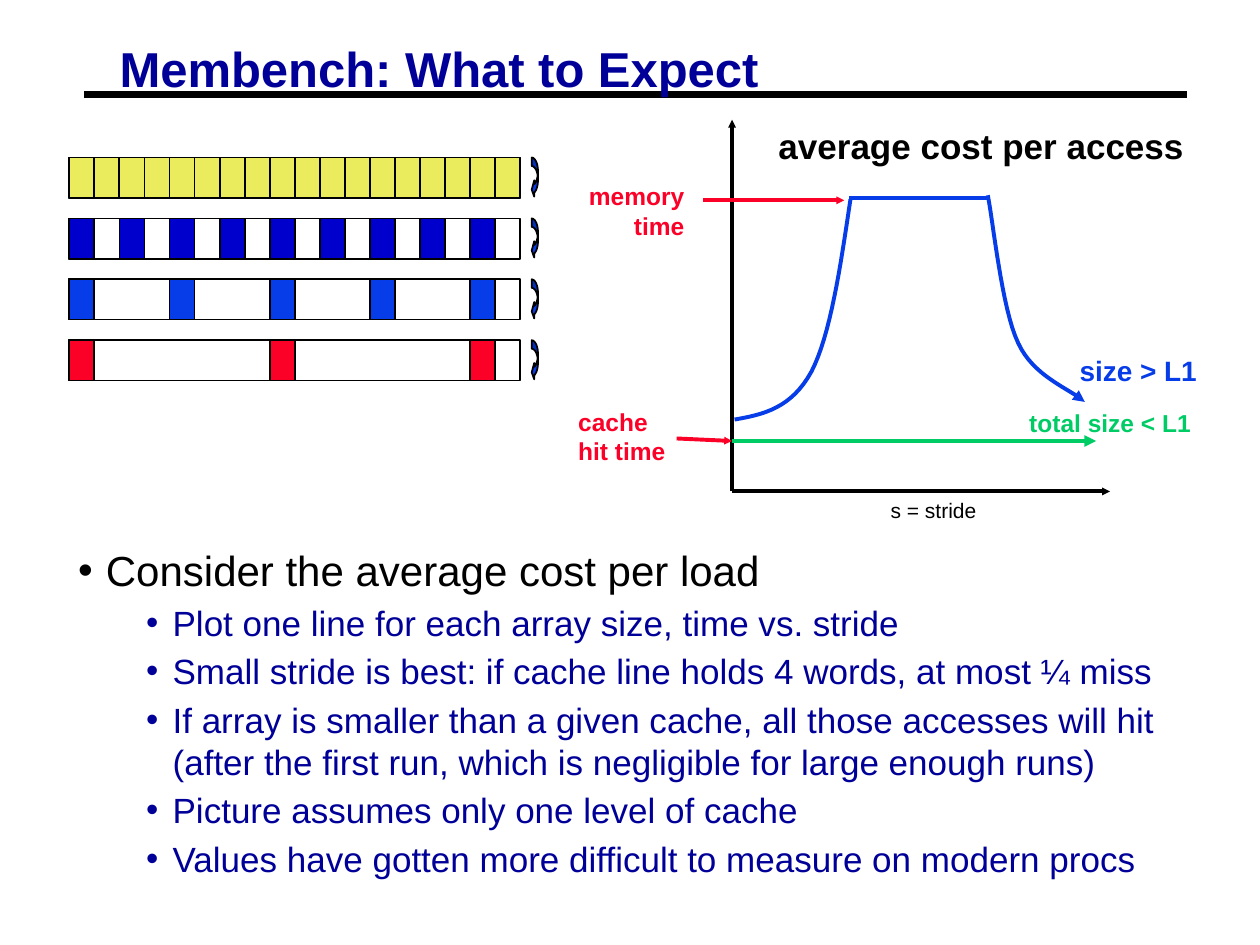
from dataclasses import dataclass

from lxml import etree
from pptx import Presentation
from pptx.dml.color import RGBColor
from pptx.enum.shapes import MSO_CONNECTOR, MSO_SHAPE
from pptx.enum.text import MSO_AUTO_SIZE, PP_ALIGN
from pptx.oxml.ns import qn
from pptx.util import Inches, Pt


@dataclass(frozen=True)
class Theme:
    font: str = "Arial"
    black: str = "000000"
    navy: str = "000099"
    yellow: str = "EAEC5E"
    dark_blue: str = "0000CC"
    blue: str = "063DE8"
    red: str = "FC0128"
    green: str = "00CC66"
    title: int = 28
    body: int = 24
    large: int = 20
    medium: int = 16
    label: int = 14
    small: int = 12
    rule: float = 3.75
    stroke: float = 2.25
    outline: float = 1


THEME = Theme()

# Content
TITLE = "Membench: What to Expect"
STRIDES = [(1, THEME.yellow), (2, THEME.dark_blue), (4, THEME.blue), (8, THEME.red)]
HEADLINE = "Consider the average cost per load"
POINTS = [
    "Plot one line for each array size, time vs. stride",
    "Small stride is best: if cache line holds 4 words, at most ¼ miss",
    "If array is smaller than a given cache, all those accesses will hit "
    "(after the first run, which is negligible for large enough runs)",
    "Picture assumes only one level of cache",
    "Values have gotten more difficult to measure on modern procs",
]
# Lines: start, end, colour, width, arrowhead size
LINES = [
    ((0.67, 0.75), (9.42, 0.75), THEME.black, THEME.rule, None),
    ((5.81, 3.9), (5.81, 0.95), THEME.black, THEME.stroke, "sm"),
    ((5.81, 3.9), (8.81, 3.9), THEME.black, THEME.stroke, "sm"),
    ((5.81, 3.5), (8.7, 3.5), THEME.green, THEME.stroke, "med"),
    ((5.37, 3.48), (5.81, 3.5), THEME.red, THEME.stroke, "sm"),
    ((5.58, 1.59), (6.7, 1.59), THEME.red, THEME.stroke, "sm"),
    ((6.74, 1.57), (7.85, 1.57), THEME.blue, THEME.stroke, None),
]
# Curves: start, Bézier segments, arrowhead size
CURVES = [
    ((5.83, 3.33), [((6.06, 3.29), (6.28, 3.24), (6.44, 2.95)),
                    ((6.59, 2.66), (6.67, 2.12), (6.75, 1.58))], None),
    ((7.84, 1.55), [((7.88, 1.74), (7.95, 2.45), (8.08, 2.72)),
                    ((8.2, 2.99), (8.5, 3.09), (8.61, 3.19))], "med"),
]
# Labels: lines, (left, top, width, height), size, colour, bold, wrap, alignment
LABELS = [
    (["s = stride"], (6.97, 3.9, 0.88, 0.3), THEME.small, THEME.black, False, False, PP_ALIGN.LEFT),
    (["average cost per access"], (6.08, 0.94, 3.42, 0.44), THEME.large, THEME.black, True, False, PP_ALIGN.LEFT),
    (["total size < L1"], (8.07, 3.19, 1.52, 0.34), THEME.label, THEME.green, True, False, PP_ALIGN.LEFT),
    (["cache hit time"], (4.49, 3.18, 0.99, 0.57), THEME.label, THEME.red, True, True, PP_ALIGN.LEFT),
    (["memory", "time"], (4.55, 1.39, 0.98, 0.57), THEME.label, THEME.red, True, True, PP_ALIGN.RIGHT),
    (["size > L1"], (8.47, 2.76, 1.13, 0.37), THEME.medium, THEME.blue, True, False, PP_ALIGN.LEFT),
]

# Memory strips
STRIP_LEFT, STRIP_TOP, STRIP_WIDTH, STRIP_HEIGHT = 0.55, 1.25, 3.58, 0.32
CELLS, STRIP_BOTTOM_ROW = 18, 2.7
LOOP_LEFT, LOOP_WIDTH = 4.22, 0.05
LOOP_SHAPE = (1.35, 2.6, 0.4)
CURVE_STEPS = 16


def rgb(colour):
    return RGBColor.from_string(colour)


def style_line(line, colour, width, head=None):
    line.color.rgb = rgb(colour)
    line.width = Pt(width)
    if head:
        etree.SubElement(line._get_or_add_ln(), qn("a:tailEnd"), type="triangle", w=head, len=head)


def add_shape(page, kind, area, fill=None):
    shape = page.shapes.add_shape(kind, *map(Inches, area))
    shape.shadow.inherit = False
    if fill:
        shape.fill.solid()
        shape.fill.fore_color.rgb = rgb(fill)
    else:
        shape.fill.background()
    style_line(shape.line, THEME.black, THEME.outline)
    return shape


def add_line(page, start, end, colour, width, head):
    line = page.shapes.add_connector(MSO_CONNECTOR.STRAIGHT, *map(Inches, start + end))
    style_line(line.line, colour, width, head)
    etree.SubElement(line._element.spPr, qn("a:effectLst"))


def bezier(start, first, second, end):
    for step in range(1, CURVE_STEPS + 1):
        t = step / CURVE_STEPS
        u = 1 - t
        yield tuple(Inches(u**3 * a + 3 * u * u * t * b + 3 * u * t * t * c + t**3 * d)
                    for a, b, c, d in zip(start, first, second, end))


def add_curve(page, start, segments, head):
    builder = page.shapes.build_freeform(*map(Inches, start))
    for segment in segments:
        builder.add_line_segments(list(bezier(start, *segment)), close=False)
        start = segment[-1]
    curve = builder.convert_to_shape()
    curve.shadow.inherit = False
    curve.fill.background()
    style_line(curve.line, THEME.blue, THEME.stroke, head)


def add_text(page, lines, area, size, colour, bold=False, wrap=True,
             align=PP_ALIGN.LEFT, insets=(0.1, 0.05)):
    frame = page.shapes.add_textbox(*map(Inches, area)).text_frame
    frame.word_wrap = wrap
    if not wrap:
        frame.auto_size = MSO_AUTO_SIZE.SHAPE_TO_FIT_TEXT
    frame.margin_left = frame.margin_right = Inches(insets[0])
    frame.margin_top = frame.margin_bottom = Inches(insets[1])
    frame.text = "\n".join(lines)
    for para in frame.paragraphs:
        para.alignment = align
        para.font.name = THEME.font
        para.font.size = Pt(size)
        para.font.bold = bold
        para.font.color.rgb = rgb(colour)
    return frame


def add_bullet(para, margin, hanging, space):
    para.space_before = Pt(space)
    properties = para._p.get_or_add_pPr()
    properties.set("marL", str(Inches(margin)))
    properties.set("indent", str(-Inches(hanging)))
    defaults = properties.find(qn("a:defRPr"))
    defaults.addprevious(etree.Element(qn("a:buFont"), typeface=THEME.font))
    defaults.addprevious(etree.Element(qn("a:buChar"), char="•"))


def main():
    deck = Presentation()
    deck.slide_width, deck.slide_height = Inches(10), Inches(7.5)
    page = deck.slides.add_slide(deck.slide_layouts[6])

    # Rule, axes, arrows and plateau
    for line in LINES:
        add_line(page, *line)

    # Title
    title = add_text(page, [TITLE], (0.88, 0.34, 5.4, 0.46), THEME.title, THEME.navy,
                     bold=True, insets=(0.07, 0.03))
    title.paragraphs[0].line_spacing = 0.87

    # One strip per stride, with the touched cells filled and a loop arrow
    cell = STRIP_WIDTH / CELLS
    pitch = (STRIP_BOTTOM_ROW - STRIP_TOP) / (len(STRIDES) - 1)
    for row, (stride, colour) in enumerate(STRIDES):
        top = STRIP_TOP + row * pitch
        add_shape(page, MSO_SHAPE.RECTANGLE, (STRIP_LEFT, top, STRIP_WIDTH, STRIP_HEIGHT))
        for index in range(0, CELLS, stride):
            area = (STRIP_LEFT + index * cell, top, cell, STRIP_HEIGHT)
            add_shape(page, MSO_SHAPE.RECTANGLE, area, colour)
        loop = add_shape(page, MSO_SHAPE.CURVED_LEFT_ARROW,
                         (LOOP_LEFT, top, LOOP_WIDTH, STRIP_HEIGHT), THEME.blue)
        for index, value in enumerate(LOOP_SHAPE):
            loop.adjustments[index] = value

    # Cost curves and labels
    for curve in CURVES:
        add_curve(page, *curve)
    for label in LABELS:
        add_text(page, *label)

    # Bulleted body
    body = add_text(page, [HEADLINE, *POINTS], (0.55, 4.29, 8.75, 2.72), THEME.large, THEME.navy,
                    insets=(0.07, 0.03))
    headline, *points = body.paragraphs
    headline.font.size = Pt(THEME.body)
    headline.font.color.rgb = rgb(THEME.black)
    add_bullet(headline, 0.22, 0.22, 4.5)
    for para in points:
        para.level = 1
        add_bullet(para, 0.75, 0.21, 3.7)

    deck.save("out.pptx")


if __name__ == "__main__":
    main()
